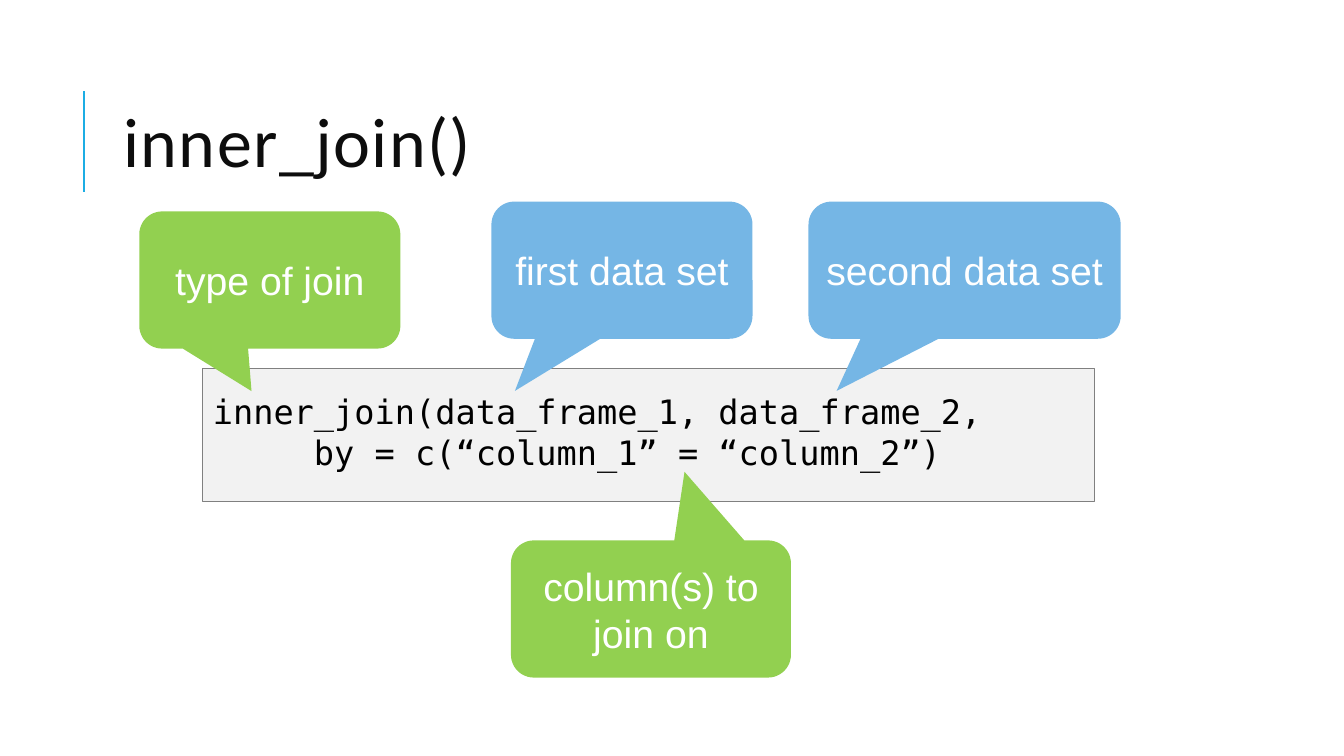
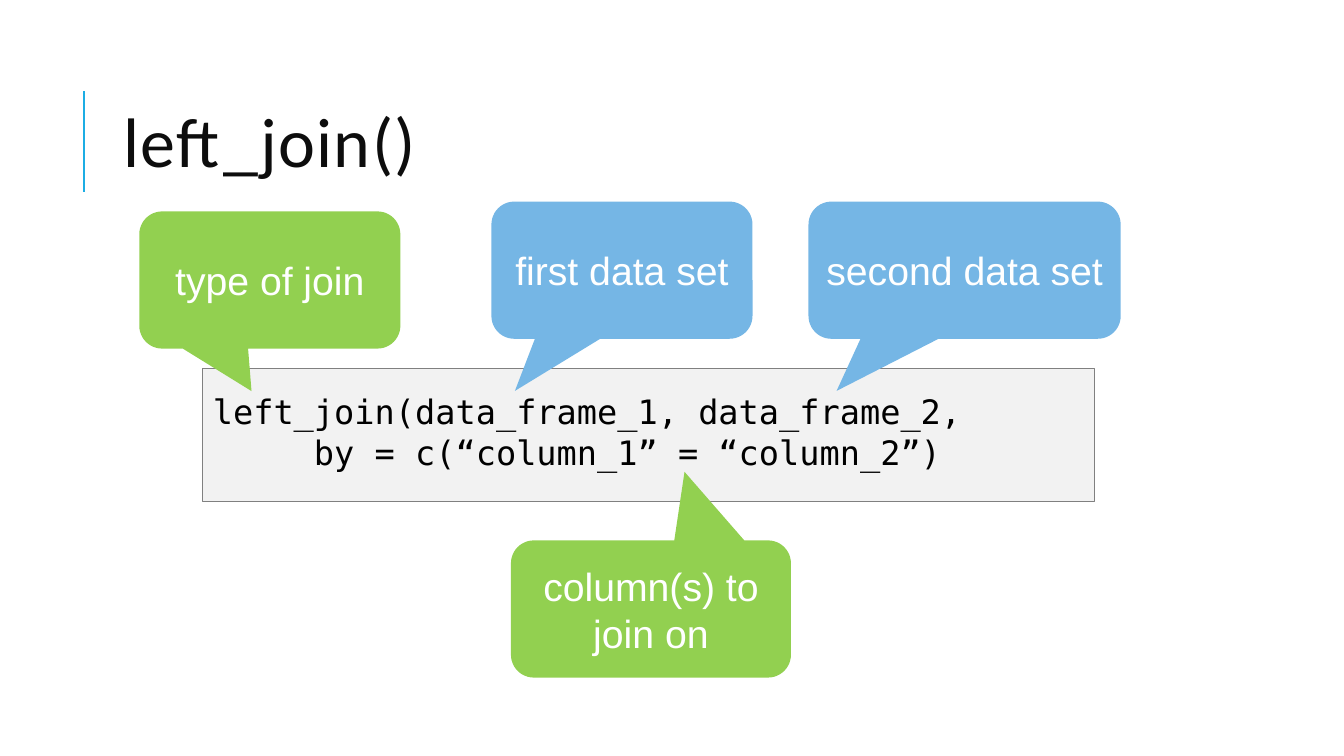
from dataclasses import dataclass

from lxml.etree import SubElement
from pptx import Presentation
from pptx.dml.color import RGBColor as Color
from pptx.enum.shapes import MSO_CONNECTOR as Connector, MSO_SHAPE as Shape
from pptx.enum.text import MSO_ANCHOR as Anchor, MSO_AUTO_SIZE as AutoSize, PP_ALIGN as Align
from pptx.oxml.ns import qn
from pptx.util import Pt


@dataclass(frozen=True)
class Theme:
    accent: Color = Color.from_string("1CADE4")
    title: Color = Color.from_string("0D0D0D")
    code: Color = Color.from_string("000000")
    panel: Color = Color.from_string("F2F2F2")
    panel_line: Color = Color.from_string("808080")
    blue: Color = Color.from_string("75B6E5")
    green: Color = Color.from_string("92D050")
    label: Color = Color.from_string("FFFFFF")
    title_font: str = "Calibri"
    code_font: str = "DejaVu Sans Mono"
    label_font: str = "Arial"
    title_size: int = 50
    code_size: int = 24
    label_size: int = 28


THEME = Theme()
CALLOUT_HEIGHT = 98

# Label, left, top, width, fill, pointer tip relative to the callout centre
CALLOUTS = (
    ("first data set", 351, 144, 186.5, THEME.blue, (-0.41, 0.88)),
    ("column(s) to join on", 365, 386, 200, THEME.green, (0.12, -1)),
    ("type of join", 99.5, 151, 186.5, THEME.green, (-0.07, 0.81)),
    ("second data set", 577.5, 144, 223, THEME.blue, (-0.41, 0.88)),
)


def format_runs(text_frame, font_name, size, color):
    for paragraph in text_frame.paragraphs:
        for run in paragraph.runs:
            run.font.name = font_name
            run.font.size = Pt(size)
            run.font.color.rgb = color


def set_margins(text_frame, side, top=0):
    text_frame.margin_left = text_frame.margin_right = Pt(side)
    text_frame.margin_top = Pt(top)
    text_frame.margin_bottom = Pt(0)


def add_filled_shape(slide, preset, box, fill):
    shape = slide.shapes.add_shape(preset, *(Pt(length) for length in box))
    shape.shadow.inherit = False
    shape.fill.solid()
    shape.fill.fore_color.rgb = fill
    shape.line.fill.background()
    shape.text_frame.word_wrap = True
    return shape


# Shared layout: title position and the rule beside it
def style_layout(layout, slide):
    title = layout.placeholders[0]
    title.left, title.top, title.width, title.height = Pt(81), Pt(46), Pt(765), Pt(118)
    rule = slide.shapes.add_connector(Connector.STRAIGHT, Pt(60), Pt(137), Pt(60), Pt(65))
    rule.line.color.rgb = THEME.accent
    rule.line.width = Pt(1.5)
    SubElement(rule.element.spPr, qn("a:effectLst"))
    rule.element.xpath(".//p:cNvPr")[0].set("id", "20")
    layout.shapes.element.append(rule.element)


def set_title(slide, text):
    text_frame = slide.shapes.title.text_frame
    text_frame.text = text
    text_frame.auto_size = AutoSize.NONE
    text_frame.vertical_anchor = Anchor.MIDDLE
    paragraph = text_frame.paragraphs[0]
    paragraph.alignment = Align.LEFT
    paragraph.line_spacing = 0.8
    format_runs(text_frame, THEME.title_font, THEME.title_size, THEME.title)
    paragraph.runs[0].font.element.set("spc", "100") if hasattr(
        paragraph.runs[0].font, "element"
    ) else paragraph.runs[0].font._element.set("spc", "100")


def add_code_panel(slide, code):
    panel = add_filled_shape(slide, Shape.RECTANGLE, (145, 263.5, 637, 95), THEME.panel)
    panel.line.color.rgb = THEME.panel_line
    panel.line.width = Pt(0.75)
    text_frame = panel.text_frame
    text_frame.text = code
    text_frame.vertical_anchor = Anchor.TOP
    set_margins(text_frame, side=7.2, top=16)
    for paragraph in text_frame.paragraphs:
        paragraph.alignment = Align.LEFT
    format_runs(text_frame, THEME.code_font, THEME.code_size, THEME.code)


def add_callout(slide, label, left, top, width, fill, tip):
    box = (left, top, width, CALLOUT_HEIGHT)
    callout = add_filled_shape(slide, Shape.ROUNDED_RECTANGULAR_CALLOUT, box, fill)
    callout.adjustments[0], callout.adjustments[1] = tip
    text_frame = callout.text_frame
    text_frame.text = label
    text_frame.vertical_anchor = Anchor.MIDDLE
    set_margins(text_frame, side=0)
    text_frame.paragraphs[0].alignment = Align.CENTER
    format_runs(text_frame, THEME.label_font, THEME.label_size, THEME.label)


def fill_join_slide(slide, function):
    set_title(slide, f"{function}()")
    add_code_panel(
        slide,
        f"{function}(data_frame_1, data_frame_2,\n"
        "     by = c(“column_1” = “column_2”)",
    )
    for callout in CALLOUTS:
        add_callout(slide, *callout)


def main():
    presentation = Presentation()
    presentation.slide_width, presentation.slide_height = Pt(960), Pt(540)
    layout = presentation.slide_layouts.get_by_name("Title Only")
    for function in ("inner_join", "left_join"):
        slide = presentation.slides.add_slide(layout)
        if len(presentation.slides) == 1:
            style_layout(layout, slide)
        fill_join_slide(slide, function)
    presentation.save("out.pptx")


if __name__ == "__main__":
    main()
